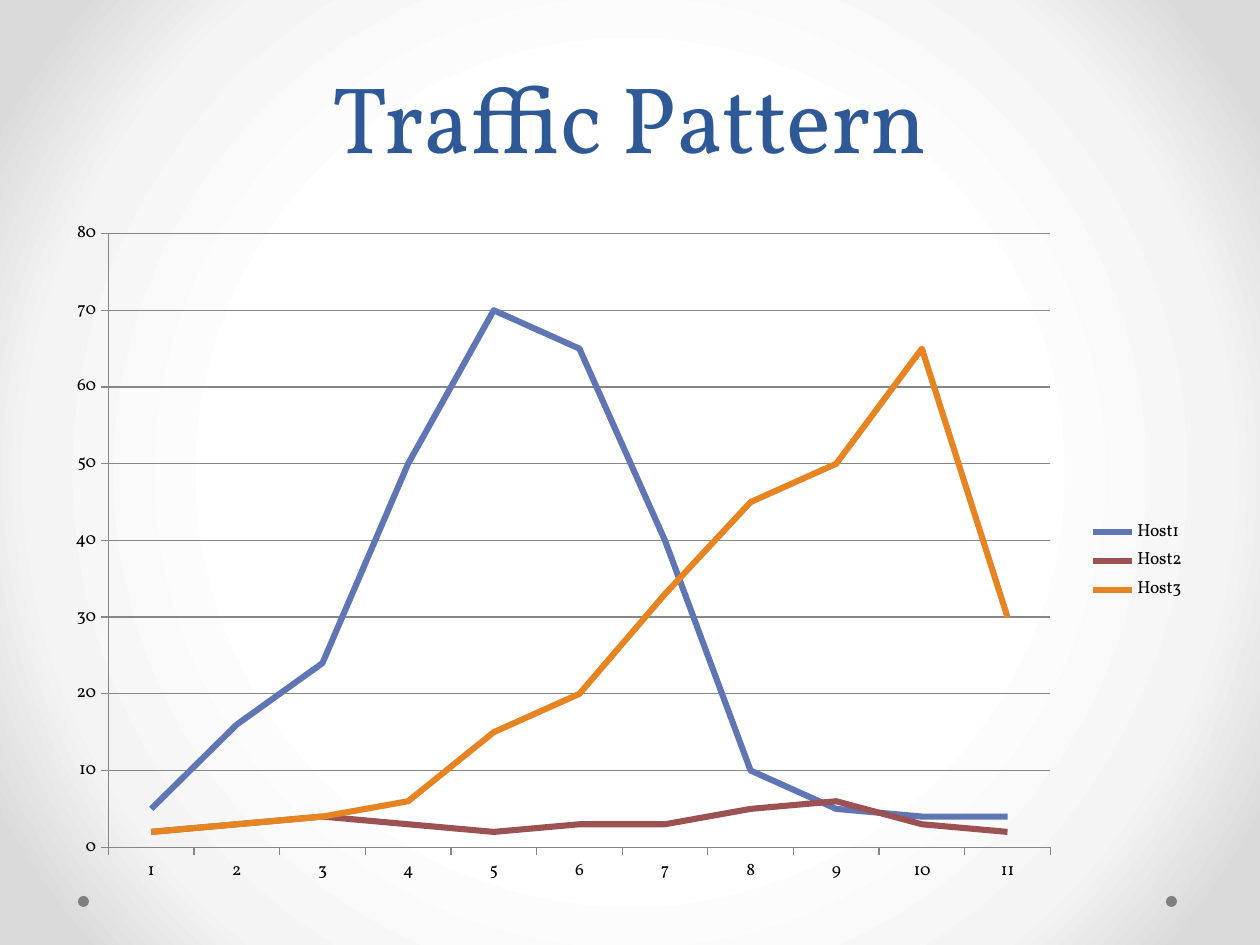
from dataclasses import dataclass

from lxml import etree
from pptx import Presentation
from pptx.chart.data import CategoryChartData
from pptx.dml.color import RGBColor
from pptx.enum.chart import XL_CHART_TYPE, XL_LEGEND_POSITION, XL_TICK_MARK
from pptx.enum.shapes import MSO_SHAPE
from pptx.enum.text import MSO_ANCHOR, PP_ALIGN
from pptx.oxml import parse_xml
from pptx.oxml.ns import nsdecls, qn
from pptx.util import Emu, Pt

LINE = XL_CHART_TYPE.LINE
RIGHT = XL_LEGEND_POSITION.RIGHT
OUT = XL_TICK_MARK.OUTSIDE
NONE = XL_TICK_MARK.NONE
OVAL = MSO_SHAPE.OVAL
BOTTOM = MSO_ANCHOR.BOTTOM
CENTER = PP_ALIGN.CENTER

SCALE = 914400 / 126


@dataclass(frozen=True)
class Theme:
    font: str = "Vollkorn"
    title: str = "2F5897"
    text: str = "000000"
    dot: str = "808080"
    grid: str = "868686"
    stops: tuple = ((50, "FFFFFF"), (76, "F4F4F4"), (92, "DADADA"))
    lines: tuple = ("6076B4", "9C5252", "E68422")
    big: int = 54
    lead: int = 58
    small: int = 10
    thick: float = 3.5
    thin: float = 0.75


THEME = Theme()

HOSTS = {
    "Host1": (5, 16, 24, 50, 70, 65, 40, 10, 5, 4, 4),
    "Host2": (2, 3, 4, 3, 2, 3, 3, 5, 6, 3, 2),
    "Host3": (2, 3, 4, 6, 15, 20, 33, 45, 50, 65, 30),
}


def px(*sizes):
    return [Emu(round(size * SCALE)) for size in sizes]


def rgb(code):
    return RGBColor.from_string(code)


def set_font(font, size, color):
    font.name = THEME.font
    font.size = Pt(size)
    font.color.rgb = rgb(color)


def set_line(line, width, color):
    line.width = Pt(width)
    line.color.rgb = rgb(color)


def add_glow(slide):
    fill = slide.background.fill
    fill.gradient()
    old = next(slide.element.iter(qn("a:gradFill")))
    stops = "".join(
        f'<a:gs pos="{pos * 1000}"><a:srgbClr val="{code}"/></a:gs>'
        for pos, code in THEME.stops
    )
    new = parse_xml(
        f'<a:gradFill {nsdecls("a")} rotWithShape="1"><a:gsLst>{stops}</a:gsLst>'
        '<a:path path="circle"><a:fillToRect l="50000" t="50000" r="50000" b="50000"/>'
        "</a:path></a:gradFill>"
    )
    old.getparent().replace(old, new)


def add_dot(slide, left, top, size):
    dot = slide.shapes.add_shape(OVAL, *px(left, top, size, size))
    dot.shadow.inherit = False
    dot.fill.solid()
    dot.fill.fore_color.rgb = rgb(THEME.dot)
    dot.line.fill.background()


def add_text(slide, text, box, *, size, color, lead, align, anchor):
    frame = slide.shapes.add_textbox(*px(*box)).text_frame
    frame.word_wrap = True
    frame.vertical_anchor = anchor
    para = frame.paragraphs[0]
    para.alignment = align
    para.line_spacing = Pt(lead)
    run = para.add_run()
    run.text = text
    set_font(run.font, size, color)


def set_plot(chart, left, top, width, height):
    area = chart.element.chart.plotArea
    for old in area.findall(qn("c:layout")):
        area.remove(old)
    layout = etree.Element(qn("c:layout"))
    manual = etree.SubElement(layout, qn("c:manualLayout"))
    parts = {
        "layoutTarget": "inner", "xMode": "edge", "yMode": "edge",
        "x": left, "y": top, "w": width, "h": height,
    }
    for name, value in parts.items():
        etree.SubElement(manual, qn(f"c:{name}")).set("val", str(value))
    area.insert(0, layout)


def add_lines(slide, hosts, box):
    data = CategoryChartData()
    data.categories = [str(n) for n in range(1, 12)]
    for name, values in hosts.items():
        data.add_series(name, values)
    chart = slide.shapes.add_chart(LINE, *px(*box), data).chart
    chart.has_title = False
    set_font(chart.font, THEME.small, THEME.text)
    chart.has_legend = True
    chart.legend.position = RIGHT
    chart.legend.include_in_layout = False
    chart.plots[0].vary_by_categories = False
    for series, color in zip(chart.plots[0].series, THEME.lines):
        series.smooth = False
        set_line(series.format.line, THEME.thick, color)
    for axis in (chart.category_axis, chart.value_axis):
        axis.major_tick_mark = OUT
        axis.minor_tick_mark = NONE
        set_line(axis.format.line, THEME.thin, THEME.grid)
    scale = chart.value_axis
    scale.minimum_scale, scale.maximum_scale, scale.major_unit = 0, 80, 10
    scale.has_major_gridlines = True
    set_line(scale.major_gridlines.format.line, THEME.thin, THEME.grid)
    set_plot(chart, 0.04, 0.02, 0.83, 0.9)


def main():
    deck = Presentation()
    deck.slide_width, deck.slide_height = px(1260, 945)
    slide = deck.slides.add_slide(deck.slide_layouts[6])
    add_glow(slide)
    for left in (1166, 78):
        add_dot(slide, left, 896, 11)
    add_text(slide, "Traffic Pattern", (63, 0, 1134, 179), size=THEME.big,
             color=THEME.title, lead=THEME.lead, align=CENTER, anchor=BOTTOM)
    add_lines(slide, HOSTS, (63, 220, 1135, 682))
    deck.save("out.pptx")


if __name__ == "__main__":
    main()
